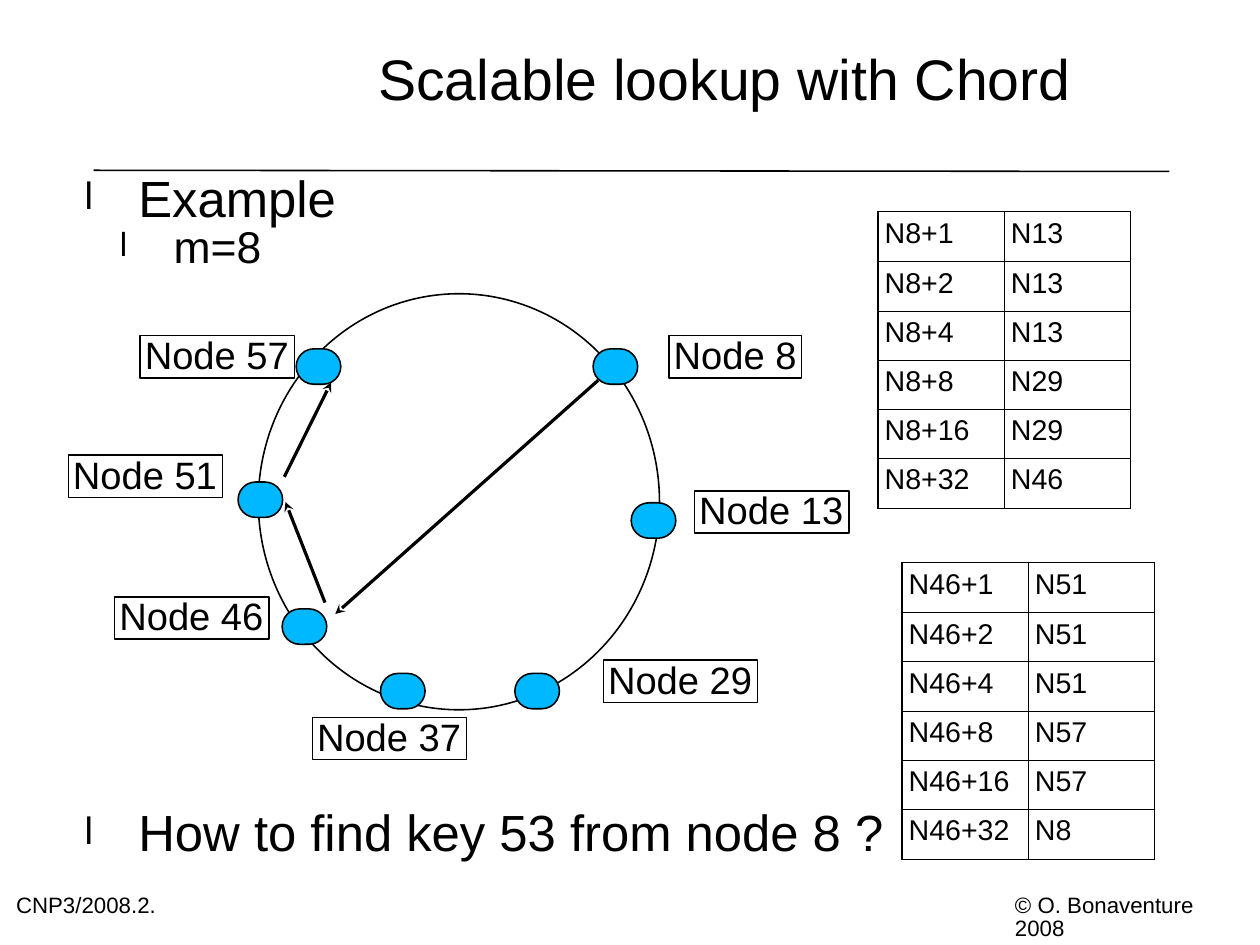
from pptx import Presentation
from pptx.dml.color import RGBColor
from pptx.enum.shapes import MSO_CONNECTOR, MSO_SHAPE
from pptx.enum.text import MSO_ANCHOR, MSO_AUTO_SIZE, PP_ALIGN
from pptx.oxml.ns import qn
from pptx.util import Cm, Inches, Pt
from lxml.etree import SubElement, Element

FONT = "Arial"
COLORS = {"ink": "000000", "node": "00B8FF"}
DOT_W, DOT_H = 0.39, 0.31
LABEL_H = 0.37

# name: (centre in ring radii from the ring's centre, label corner from the dot's centre)
NODES = {
    "Node 8": ((0.78, -0.65), (0.47, -0.27)),
    "Node 13": ((0.97, 0.09), (0.36, -0.26)),
    "Node 29": ((0.39, 0.91), (0.58, -0.27)),
    "Node 37": ((-0.28, 0.91), (-0.79, 0.23)),
    "Node 46": ((-0.77, 0.6), (-1.66, -0.26)),
    "Node 51": ((-0.99, -0.01), (-1.68, -0.39)),
    "Node 57": ((-0.7, -0.65), (-1.56, -0.27)),
}
# from, to, and the distance of each arrow end from its dot's centre
HOPS = [
    ("Node 8", "Node 46", (-0.15, 0.12), (0.27, -0.11)),
    ("Node 46", "Node 51", (0.18, -0.21), (0.22, 0.02)),
    ("Node 51", "Node 57", (0.21, -0.2), (0.11, 0.14)),
]
FINGERS = {
    "N8": ["N13", "N13", "N13", "N29", "N29", "N46"],
    "N46": ["N51", "N51", "N51", "N57", "N57", "N8"],
}


def rgb(name):
    return RGBColor.from_string(COLORS[name])


def inches(*values):
    return [Inches(v) for v in values]


def write(p, text, size, spacing=None, before=None, align=PP_ALIGN.LEFT):
    p.alignment = align
    p.line_spacing = spacing
    if before:
        p.space_before = Pt(before)
    r = p.add_run()
    r.text = text
    r.font.size, r.font.name = Pt(size), FONT
    r.font.color.rgb = rgb("ink")


def set_frame(tf, wrap=True, margins=(0, 0, 0, 0), anchor=MSO_ANCHOR.TOP):
    """Format a text frame; one that does not wrap grows with its text."""
    tf.word_wrap = wrap
    tf.auto_size = MSO_AUTO_SIZE.NONE if wrap else MSO_AUTO_SIZE.SHAPE_TO_FIT_TEXT
    tf.vertical_anchor = anchor
    tf.margin_left, tf.margin_top, tf.margin_right, tf.margin_bottom = inches(*margins)
    return tf


def add_outline(s, kind, x, y, w, h, fill=None):
    sp = s.shapes.add_shape(kind, *inches(x, y, w, h))
    sp.shadow.inherit = False
    if fill:
        sp.fill.solid()
        sp.fill.fore_color.rgb = rgb(fill)
    else:
        sp.fill.background()
    sp.line.color.rgb = rgb("ink")
    sp.line.width = Pt(1)
    return sp


def add_line(s, start, end, width, arrow=False):
    line = s.shapes.add_connector(MSO_CONNECTOR.STRAIGHT, *inches(*start, *end))
    line.line.color.rgb = rgb("ink")
    line.line.width = Pt(width)
    spPr = line._element.spPr
    if arrow:
        SubElement(spPr.get_or_add_ln(), qn("a:tailEnd"), type="stealth")
    SubElement(spPr, qn("a:effectLst"))


def add_header(s, x, y, w, h):
    title = s.shapes.title
    title.left, title.top, title.width, title.height = inches(x, y, w, h)
    tf = set_frame(title.text_frame, anchor=MSO_ANCHOR.MIDDLE)
    write(tf.paragraphs[0], "Scalable lookup with Chord", 36, 0.84, align=PP_ALIGN.CENTER)
    add_line(s, (0.82, 1.49), (10.23, 1.5), 1)


def add_footer(s, x, y, w, h, text, wrap=True):
    tf = set_frame(s.shapes.add_textbox(*inches(x, y, w, h)).text_frame, wrap)
    write(tf.paragraphs[0], text, 14, 0.84)


def add_bullets(s, x, y, w, h):
    tf = set_frame(s.shapes.add_textbox(*inches(x, y, w, h)).text_frame)
    items = [("Example", 32, 0, None), ("m=8", 28, 1, None),
             ("How to find key 53 from node 8 ?", 32, 0, 339)]
    for i, (text, size, level, before) in enumerate(items):
        p = tf.add_paragraph() if i else tf.paragraphs[0]
        p.level = level
        pPr = p._p.get_or_add_pPr()
        pPr.set("marL", str(Inches(0.55 + 0.31 * level)))
        pPr.set("indent", str(Inches(-0.47)))
        SubElement(SubElement(pPr, qn("a:buClr")), qn("a:srgbClr"), val=COLORS["ink"])
        SubElement(pPr, qn("a:buSzPct"), val="75000")
        SubElement(pPr, qn("a:buFont"), typeface=FONT)
        SubElement(pPr, qn("a:buChar"), char="l")
        write(p, text, size, 0.84, before)


def add_ring(s, x, y, w, h):
    add_outline(s, MSO_SHAPE.OVAL, x, y, w, h)
    centers = {}
    for name, ((u, v), (dx, dy)) in NODES.items():
        cx, cy = x + w / 2 * (1 + u), y + h / 2 * (1 + v)
        centers[name] = cx, cy
        dot = add_outline(s, MSO_SHAPE.ROUNDED_RECTANGLE, cx - DOT_W / 2,
                          cy - DOT_H / 2, DOT_W, DOT_H, "node")
        dot.adjustments[0] = 0.5
        label_w = 1.16 if len(name) == 6 else 1.35
        label = add_outline(s, MSO_SHAPE.RECTANGLE, cx + dx, cy + dy, label_w, LABEL_H)
        tf = set_frame(label.text_frame, wrap=False, margins=(0.04, 0, 0.04, 0))
        write(tf.paragraphs[0], name, 24, 0.93)
    for a, b, start, end in HOPS:
        add_line(s, *[(centers[n][0] + dx, centers[n][1] + dy)
                      for n, (dx, dy) in ((a, start), (b, end))], 2, arrow=True)


def set_borders(cell, **widths):
    tcPr = cell._tc.get_or_add_tcPr()
    for i, side in enumerate("LRTB"):
        ln = Element(qn("a:ln" + side), w=str(Pt(widths[side])))
        fill = SubElement(ln, qn("a:solidFill"))
        SubElement(fill, qn("a:srgbClr"), val=COLORS["ink"])
        tcPr.insert(i, ln)


def add_finger_table(s, x, y, w, h, node):
    targets = FINGERS[node]
    last = len(targets) - 1
    table = s.shapes.add_table(len(targets), 2, *inches(x, y, w, h)).table
    table.first_row = table.horz_banding = False
    thick, thin = 1.08, 0.45
    for i, target in enumerate(targets):
        table.rows[i].height = Inches(0.44 if i in (0, last) else 0.43)
        for j, text in enumerate((f"{node}+{2 ** i}", target)):
            cell = table.cell(i, j)
            cell.fill.background()
            cell.margin_left = cell.margin_right = Inches(0.06)
            cell.margin_top = cell.margin_bottom = Inches(0.05)
            write(cell.text_frame.paragraphs[0], text, 18)
            set_borders(cell, L=thin if j else thick, R=thick if j else thin,
                        T=thin if i else thick, B=thick if i == last else thin)


def main():
    prs = Presentation()
    prs.slide_width, prs.slide_height = Cm(28), Cm(21)
    s = prs.slides.add_slide(prs.slide_layouts[5])
    add_header(s, 2.36, 0, 7.96, 1.45)
    add_footer(s, 8.88, 7.84, 2.05, 0.2, "© O. Bonaventure 2008", wrap=False)
    add_footer(s, 0.14, 7.84, 1.68, 0.24, "CNP3/2008.2.")
    add_bullets(s, 0.66, 1.54, 9.42, 6.31)
    add_ring(s, 2.26, 2.57, 3.51, 3.64)
    add_finger_table(s, 7.68, 1.85, 2.21, 2.6, "N8")
    add_finger_table(s, 7.89, 4.92, 2.21, 2.6, "N46")
    prs.save("out.pptx")


if __name__ == "__main__":
    main()
